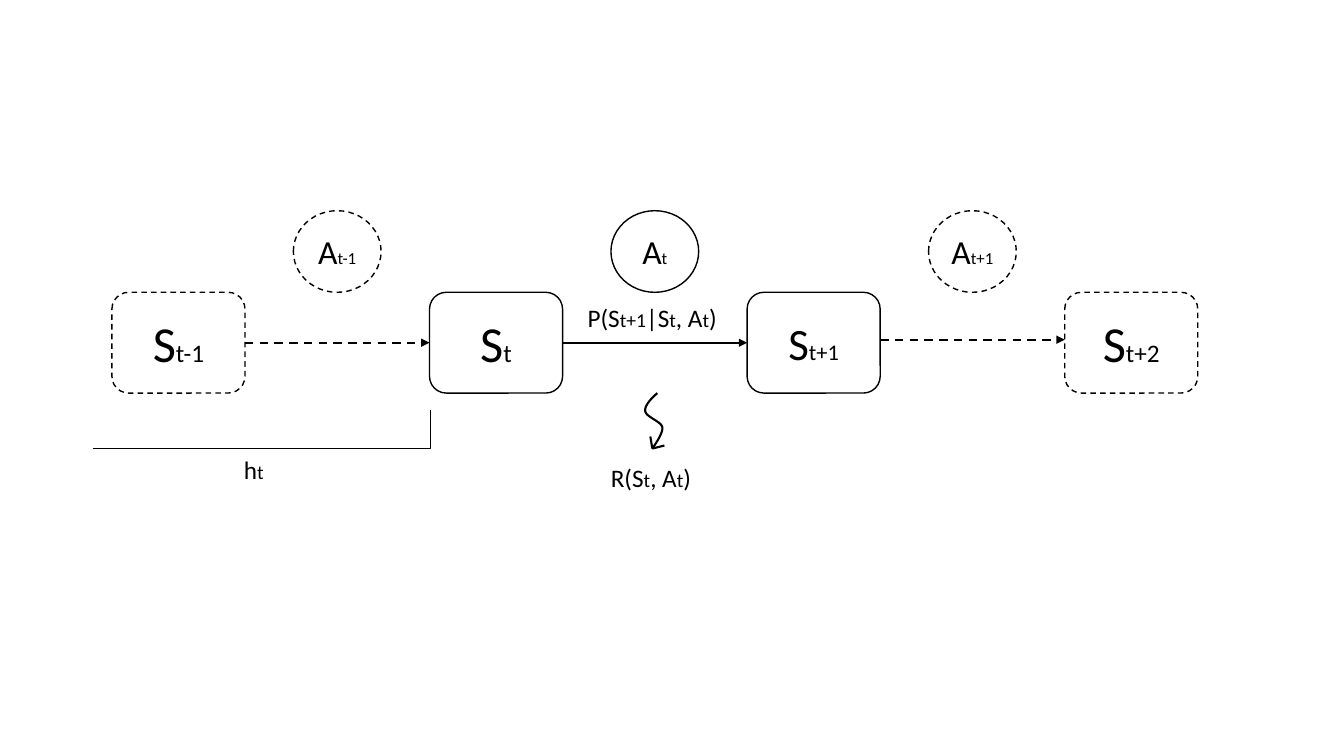
from pptx import Presentation
from pptx.dml.color import RGBColor
from pptx.enum.dml import MSO_LINE
from pptx.enum.shapes import MSO_CONNECTOR, MSO_SHAPE
from pptx.enum.text import MSO_ANCHOR, MSO_AUTO_SIZE, PP_ALIGN
from pptx.oxml.ns import qn
from pptx.util import Inches, Pt
from lxml import etree

ROUND, OVAL = MSO_SHAPE.ROUNDED_RECTANGLE, MSO_SHAPE.OVAL
STRAIGHT, ELBOW = MSO_CONNECTOR.STRAIGHT, MSO_CONNECTOR.ELBOW
DASH, MIDDLE, CENTER = MSO_LINE.DASH, MSO_ANCHOR.MIDDLE, PP_ALIGN.CENTER
FIT = MSO_AUTO_SIZE.SHAPE_TO_FIT_TEXT
INK, FONT = "000000", "Calibri"
STEP = 3.15  # distance between states
STATE_W, STATE_H = 1.32, 1
ACT_W, ACT_H = 0.87, 0.81


def color(code):
    return RGBColor.from_string(code)


def ink(line, width, dashed=False):
    line.color.rgb = color(INK)
    line.width = Pt(width)
    if dashed:
        line.dash_style = DASH


def write(frame, label, big, small):
    """Underscores switch between full size and index size."""
    par = frame.paragraphs[0]
    for i, part in enumerate(label.split("_")):
        run = par.add_run()
        run.text = part
        run.font.size = Pt(small if i % 2 else big)
        run.font.name = FONT
        run.font.color.rgb = color(INK)
    return par


def node(slide, kind, box, label, big, dashed):
    shape = slide.shapes.add_shape(kind, *map(Inches, box))
    shape.shadow.inherit = False
    shape.fill.background()
    ink(shape.line, 1, dashed)
    shape.text_frame.vertical_anchor = MIDDLE
    write(shape.text_frame, label, big, big / 2).alignment = CENTER


def note(slide, box, label):
    frame = slide.shapes.add_textbox(*map(Inches, box)).text_frame
    frame.word_wrap = False
    frame.auto_size = FIT
    write(frame, label, 18, 14)


def link(slide, start, end, width=1.5, dashed=False, head=False, kind=STRAIGHT):
    wire = slide.shapes.add_connector(kind, *map(Inches, start + end))
    ink(wire.line, width, dashed)
    props = wire._element.spPr
    if head:
        etree.SubElement(props.find(qn("a:ln")), qn("a:tailEnd"), type="triangle")
    etree.SubElement(props, qn("a:effectLst"))
    return wire


def states(slide, left, top):
    sizes = (36, 36, 32, 36)
    for i, (sub, big) in enumerate(zip(("t-1", "t", "t+1", "t+2"), sizes)):
        box = (left + i * STEP, top, STATE_W, STATE_H)
        node(slide, ROUND, box, "S_" + sub, big, i in (0, 3))
    # Transitions between neighbours
    for i, drop in enumerate((0.5, 0.5, 0.47)):
        x, y = left + i * STEP, top + drop
        link(slide, (x + STATE_W, y), (x + STEP, y), dashed=i != 1, head=True)


def actions(slide, left, top):
    for i, sub in enumerate(("t-1", "t", "t+1")):
        box = (left + i * STEP, top, ACT_W, ACT_H)
        node(slide, OVAL, box, "A_" + sub, 24, i != 1)


def bend(a, b, c, d, steps=12):
    """Points on a cubic curve after its start."""
    for i in range(1, steps + 1):
        t = i / steps
        u = 1 - t
        yield tuple(u**3 * p + 3 * u * u * t * q + 3 * u * t * t * r + t**3 * s
                    for p, q, r, s in zip(a, b, c, d))


def reward(slide, left, top):
    # Wavy stem
    knots = [(0.12, 0), (0.05, 0.06), (-0.01, 0.13), (0, 0.18), (0.01, 0.24),
             (0.16, 0.28), (0.17, 0.34), (0.18, 0.4), (0.07, 0.55), (0.07, 0.55)]
    knots = [(Inches(left + x), Inches(top + y)) for x, y in knots]
    dots = [dot for i in (0, 3, 6) for dot in bend(*knots[i:i + 4])]
    pen = slide.shapes.build_freeform(*knots[0])
    pen.add_line_segments(dots, close=False)
    stem = pen.convert_to_shape()
    stem.shadow.inherit = False
    stem.fill.background()
    ink(stem.line, 1.5)
    # Open arrowhead
    tip = (left + 0.07, top + 0.55)
    link(slide, (left + 0.05, top + 0.43), tip)
    link(slide, tip, (left + 0.19, top + 0.52))
    note(slide, (left - 0.44, top + 0.64, 1.04, 0.4), "R(S_t_, A_t_)")


def history(slide, left, top, width, height):
    wire = link(slide, (left + width, top), (left, top + height), 1, kind=ELBOW)
    guides = wire._element.spPr.find(qn("a:prstGeom")).find(qn("a:avLst"))
    etree.SubElement(guides, qn("a:gd"), name="adj1", fmla="val 0")
    note(slide, (left + 1.4, top + height + 0.01, 0.42, 0.4), "h_t")


deck = Presentation()
deck.slide_width, deck.slide_height = Inches(13.33), Inches(7.5)
page = deck.slides.add_slide(deck.slide_layouts[6])
states(page, 1.11, 2.9)
actions(page, 2.91, 2.09)
note(page, (5.73, 2.95, 1.53, 0.4), "P(S_t+1_|S_t_, A_t_)")
reward(page, 6.4, 3.9)
history(page, 0.92, 4.07, 3.35, 0.38)
deck.save("out.pptx")
